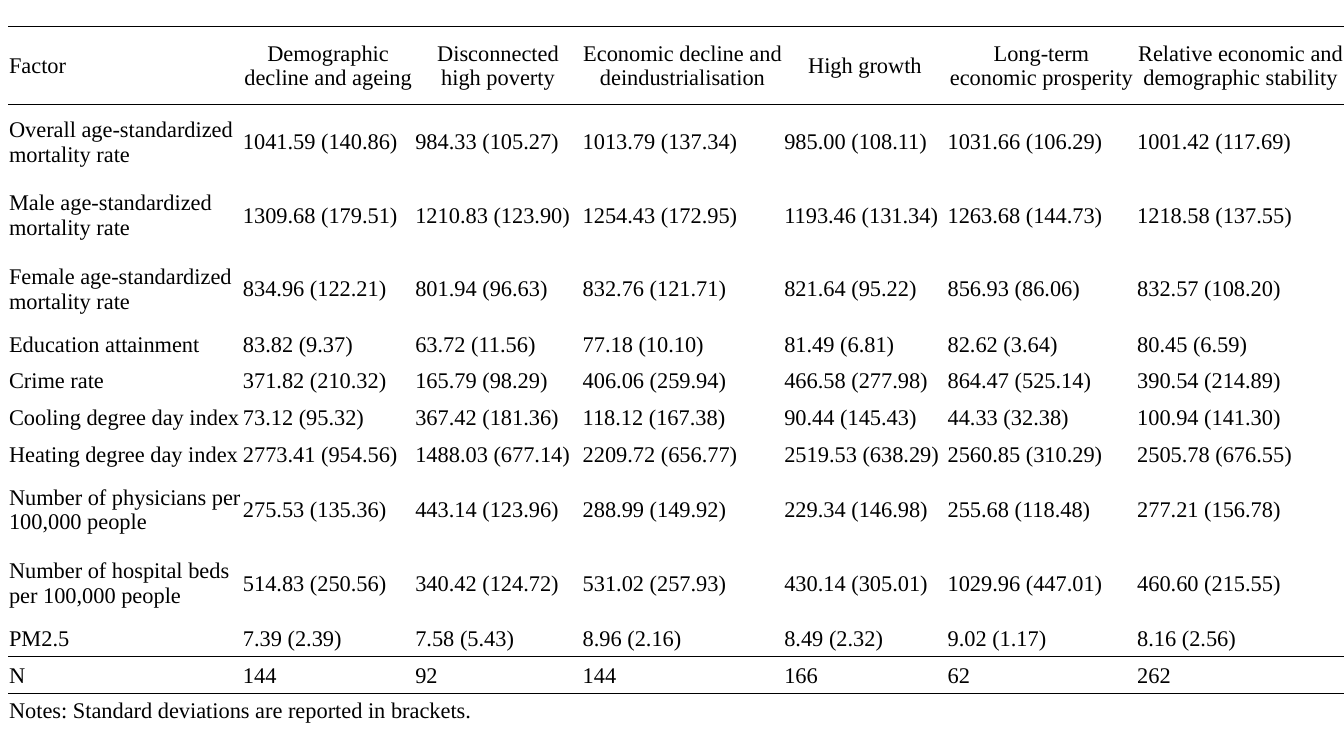
from pptx import Presentation
from pptx.util import Inches, Pt
from pptx.dml.color import RGBColor
from pptx.enum.text import PP_ALIGN as Align, MSO_ANCHOR as Anchor
from pptx.oxml import parse_xml
from pptx.oxml.ns import nsdecls

BLACK = RGBColor(0, 0, 0)
FONT = "Times New Roman"
TALL = 0.73
SHORT = TALL / 2
INSET = Inches(0.01)

HEADINGS = ["Factor", "Demographic decline and ageing", "Disconnected high poverty",
            "Economic decline and deindustrialisation", "High growth",
            "Long-term economic prosperity", "Relative economic and demographic stability"]
FACTORS = [
    (TALL, "Overall age-standardized mortality rate", "1041.59 (140.86)", "984.33 (105.27)",
     "1013.79 (137.34)", "985.00 (108.11)", "1031.66 (106.29)", "1001.42 (117.69)"),
    (TALL, "Male age-standardized mortality rate", "1309.68 (179.51)", "1210.83 (123.90)",
     "1254.43 (172.95)", "1193.46 (131.34)", "1263.68 (144.73)", "1218.58 (137.55)"),
    (TALL, "Female age-standardized mortality rate", "834.96 (122.21)", "801.94 (96.63)",
     "832.76 (121.71)", "821.64 (95.22)", "856.93 (86.06)", "832.57 (108.20)"),
    (SHORT, "Education attainment", "83.82 (9.37)", "63.72 (11.56)",
     "77.18 (10.10)", "81.49 (6.81)", "82.62 (3.64)", "80.45 (6.59)"),
    (SHORT, "Crime rate", "371.82 (210.32)", "165.79 (98.29)",
     "406.06 (259.94)", "466.58 (277.98)", "864.47 (525.14)", "390.54 (214.89)"),
    (SHORT, "Cooling degree day index", "73.12 (95.32)", "367.42 (181.36)",
     "118.12 (167.38)", "90.44 (145.43)", "44.33 (32.38)", "100.94 (141.30)"),
    (SHORT, "Heating degree day index", "2773.41 (954.56)", "1488.03 (677.14)",
     "2209.72 (656.77)", "2519.53 (638.29)", "2560.85 (310.29)", "2505.78 (676.55)"),
    (TALL, "Number of physicians per 100,000 people", "275.53 (135.36)", "443.14 (123.96)",
     "288.99 (149.92)", "229.34 (146.98)", "255.68 (118.48)", "277.21 (156.78)"),
    (TALL, "Number of hospital beds per 100,000 people", "514.83 (250.56)", "340.42 (124.72)",
     "531.02 (257.93)", "430.14 (305.01)", "1029.96 (447.01)", "460.60 (215.55)"),
    (SHORT, "PM2.5", "7.39 (2.39)", "7.58 (5.43)",
     "8.96 (2.16)", "8.49 (2.32)", "9.02 (1.17)", "8.16 (2.56)"),
    (SHORT, "N", "144", "92", "144", "166", "62", "262"),
]
NOTES = ["Notes: Standard deviations are reported in brackets."] + [""] * 6

rows = [HEADINGS] + [values for height, *values in FACTORS] + [NOTES]
heights = [0.78] + [factor[0] for factor in FACTORS] + [0.34]
widths = [2.32, 1.71, 1.66, 2, 1.62, 1.88, 2.07]
last = len(rows) - 1
ruled_tops = {0, 1, last - 1, last}


def add_border(cell, side, visible):
    paint = f'<a:solidFill><a:srgbClr val="{BLACK}"/></a:solidFill>' if visible else "<a:noFill/>"
    cell._tc.get_or_add_tcPr().append(parse_xml(
        f'<a:{side} {nsdecls("a")} w="{Pt(0.5)}">{paint}</a:{side}>'))


deck = Presentation()
deck.slide_width, deck.slide_height = Inches(13.33), Inches(7.5)
page = deck.slides.add_slide(deck.slide_layouts[6])
table = page.shapes.add_table(len(rows), len(widths), Inches(0.08), Inches(0.26),
                              Inches(sum(widths)), Inches(sum(heights))).table
table.first_row = table.horz_banding = False
for column, width in zip(table.columns, widths):
    column.width = Inches(width)
for row, height in zip(table.rows, heights):
    row.height = Inches(height)

for row_index, texts in enumerate(rows):
    for column_index, text in enumerate(texts):
        cell = table.cell(row_index, column_index)
        cell.text = text
        cell.vertical_anchor = Anchor.MIDDLE
        cell.margin_left = cell.margin_top = cell.margin_right = INSET
        cell.margin_bottom = 0
        para = cell.text_frame.paragraphs[0]
        centred = row_index == 0 and column_index > 0
        para.alignment = Align.CENTER if centred else Align.LEFT
        para.font.name = FONT
        para.font.size = Pt(16)
        para.font.color.rgb = BLACK
        for side, visible in (("lnL", False), ("lnR", False), ("lnT", row_index in ruled_tops),
                              ("lnB", row_index + 1 in ruled_tops)):
            add_border(cell, side, visible)
        cell.fill.background()

table.cell(last, 0).merge(table.cell(last, 2))
deck.save("out.pptx")
